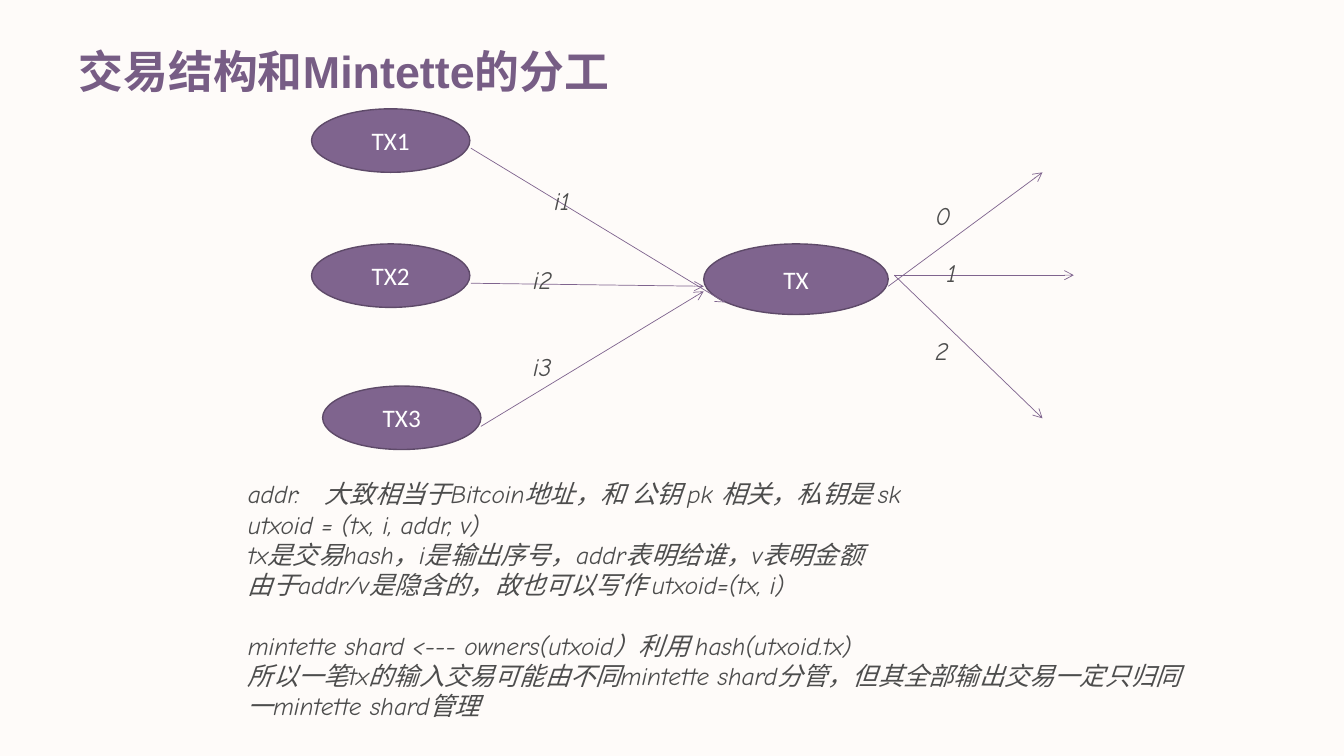
from dataclasses import dataclass

from lxml.etree import SubElement
from pptx import Presentation
from pptx.dml.color import RGBColor
from pptx.enum.shapes import MSO_CONNECTOR, MSO_SHAPE
from pptx.enum.text import MSO_ANCHOR, MSO_AUTO_SIZE, PP_ALIGN
from pptx.oxml.ns import qn
from pptx.util import Pt


@dataclass(frozen=True)
class Theme:
    background: RGBColor = RGBColor.from_string("FEFBF9")
    heading: RGBColor = RGBColor.from_string("775D85")
    node: RGBColor = RGBColor.from_string("7F648E")
    node_border: RGBColor = RGBColor.from_string("5E4A69")
    node_text: RGBColor = RGBColor.from_string("FFFFFF")
    text: RGBColor = RGBColor.from_string("4D4D4D")
    heading_size: Pt = Pt(32)
    text_size: Pt = Pt(18)
    section_gap: Pt = Pt(21.6)
    heading_font: str = "Arial"
    node_font: str = "Calibri"
    text_font: str = "Comic Neue"


THEME = Theme()
EMU_PER_PX = 9144

TRANSACTIONS = [
    ("TX1", 309, 108, 157, 63),
    ("TX2", 309, 242, 157, 63),
    ("TX3", 320, 383, 157, 63),
    ("TX", 698, 242, 183, 70),
]
FLOWS = [
    (467, 147, 719, 300),
    (467, 281, 698, 284),
    (477, 423, 698, 289),
    (881, 284, 1034, 171),
    (887, 273, 1065, 273),
    (887, 273, 1034, 415),
]
FLOW_LABELS = [
    ("i1", 540, 179, 67),
    ("i2", 519, 257, 67),
    ("i3", 519, 344, 67),
    ("0", 918, 194, 153),
    ("1", 929, 250, 125),
    ("2", 918, 328, 145),
]
UTXO_NOTES = [
    "addr:　大致相当于Bitcoin地址，和 公钥 pk 相关，私钥是 sk",
    "utxoid = (tx, i, addr, v)",
    "tx是交易hash，i是输出序号，addr表明给谁，v表明金额",
    "由于addr/v是隐含的，故也可以写作 utxoid=(tx, i)",
]
SHARD_NOTES = [
    "mintette shard <--- owners(utxoid）利用 hash(utxoid.tx)",
    "所以一笔tx的输入交易可能由不同mintette shard分管，但其全部输出交易一定只归同一mintette shard管理",
]


def px(*lengths):
    return [length * EMU_PER_PX for length in lengths]


def style(paragraph, font_name, size, color, bold=False, italic=False):
    font = paragraph.font
    font.name = font_name
    font.size = size
    font.color.rgb = color
    font.bold = bold
    font.italic = italic


def set_title(slide, text):
    title = slide.shapes.title
    title.left, title.top, title.width, title.height = px(68, 32, 1200, 70)
    frame = title.text_frame
    frame.text = text
    frame.vertical_anchor = MSO_ANCHOR.BOTTOM
    heading = frame.paragraphs[0]
    heading.alignment = PP_ALIGN.LEFT
    heading.line_spacing = 0.9
    style(heading, THEME.heading_font, THEME.heading_size, THEME.heading, bold=True)


def add_transaction(slide, name, *box):
    node = slide.shapes.add_shape(MSO_SHAPE.OVAL, *px(*box))
    node.shadow.inherit = False
    node.fill.solid()
    node.fill.fore_color.rgb = THEME.node
    node.line.color.rgb = THEME.node_border
    node.line.width = Pt(1)
    frame = node.text_frame
    frame.text = name
    frame.vertical_anchor = MSO_ANCHOR.MIDDLE
    caption = frame.paragraphs[0]
    caption.alignment = PP_ALIGN.CENTER
    style(caption, THEME.node_font, THEME.text_size, THEME.node_text)


def add_flow(slide, *ends):
    flow = slide.shapes.add_connector(MSO_CONNECTOR.STRAIGHT, *px(*ends))
    flow.line.color.rgb = THEME.node
    flow.line.width = Pt(0.5)
    SubElement(flow.line._get_or_add_ln(), qn("a:tailEnd"), type="arrow")
    SubElement(flow._element.spPr, qn("a:effectLst"))


def add_text(slide, lines, *box):
    frame = slide.shapes.add_textbox(*px(*box)).text_frame
    frame.word_wrap = True
    frame.auto_size = MSO_AUTO_SIZE.SHAPE_TO_FIT_TEXT
    frame.text = "\n".join(lines)
    for paragraph in frame.paragraphs:
        style(paragraph, THEME.text_font, THEME.text_size, THEME.text, italic=True)
    return frame


def main():
    deck = Presentation()
    deck.slide_width, deck.slide_height = px(1333, 750)
    slide = deck.slides.add_slide(deck.slide_layouts[5])
    slide.background.fill.solid()
    slide.background.fill.fore_color.rgb = THEME.background

    set_title(slide, "交易结构和Mintette的分工")
    for transaction in TRANSACTIONS:
        add_transaction(slide, *transaction)
    for flow in FLOWS:
        add_flow(slide, *flow)
    for label, left, top, width in FLOW_LABELS:
        add_text(slide, [label], left, top, width, 40)

    notes = add_text(slide, UTXO_NOTES + SHARD_NOTES, 236, 470, 960, 252)
    notes.paragraphs[len(UTXO_NOTES)].space_before = THEME.section_gap

    deck.save("out.pptx")


if __name__ == "__main__":
    main()
